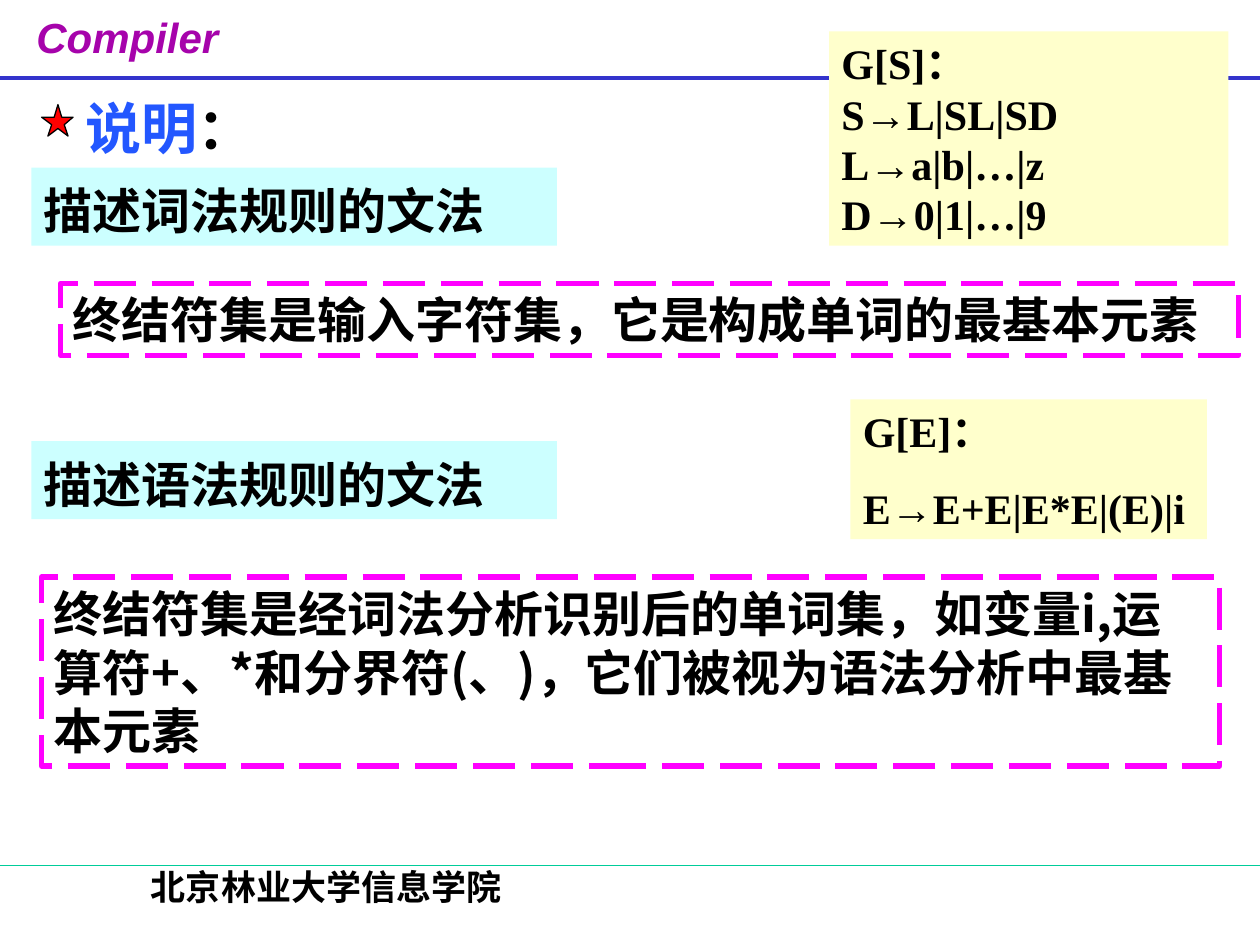
"""Build the compiler slide on terminal sets of lexical and syntax grammars."""
from lxml import etree
from pptx import Presentation
from pptx.dml.color import RGBColor
from pptx.enum.dml import MSO_LINE
from pptx.enum.shapes import MSO_CONNECTOR, MSO_SHAPE
from pptx.enum.text import MSO_ANCHOR, MSO_AUTO_SIZE, PP_ALIGN
from pptx.oxml.ns import qn
from pptx.util import Inches, Pt

COLORS = {
    "black": "000000", "purple": "A603AB", "navy": "3333CC", "green": "00CC99",
    "blue": "2357FF", "red": "FF0000", "magenta": "FF00FF",
    "cyan": "CCFFFF", "cream": "FFFFCC",
}
SERIF, SANS = "Times New Roman", "Noto Sans CJK SC"


def rgb(name):
    return RGBColor.from_string(COLORS[name])


def add_run(p, text, size, font, color="black"):
    r = p.add_run()
    r.text = text
    r.font.size = Pt(size)
    r.font.name = font
    r.font.bold = True
    r.font.color.rgb = rgb(color)
    etree.SubElement(r.font._element, qn("a:ea")).set("typeface", SANS)
    return r


prs = Presentation()
prs.slide_width, prs.slide_height = Inches(10), Inches(7.5)
s = prs.slides.add_slide(prs.slide_layouts[5])

for y, color, width in [(0.62, "navy", 2.25), (6.87, "green", 0.75)]:
    line = s.shapes.add_connector(
        MSO_CONNECTOR.STRAIGHT, Inches(0), Inches(y), Inches(10), Inches(y))
    line.line.color.rgb = rgb(color)
    line.line.width = Pt(width)
    etree.SubElement(line._element.spPr, qn("a:effectLst"))

header = s.shapes.add_textbox(Inches(0.19), Inches(0.04), Inches(1.91), Inches(0.62))
header.text_frame.word_wrap = False
r = add_run(header.text_frame.paragraphs[0], "Compiler", 24, "Arial", "purple")
r.font.italic = True

footer = s.shapes.add_textbox(Inches(0.52), Inches(6.82), Inches(4.14), Inches(0.5))
footer.text_frame.word_wrap = True
p = footer.text_frame.paragraphs[0]
p.alignment = PP_ALIGN.CENTER
add_run(p, "北京林业大学信息学院", 20, SERIF)

title = s.shapes.title
title.left, title.top = Inches(0.58), Inches(0.75)
title.width, title.height = Inches(2.58), Inches(0.58)
tf = title.text_frame
tf.auto_size = MSO_AUTO_SIZE.NONE
tf.vertical_anchor = MSO_ANCHOR.TOP
p = tf.paragraphs[0]
p.alignment = PP_ALIGN.LEFT
p.line_spacing = 0.9
add_run(p, "说明", 32, SERIF, "blue")
add_run(p, "：", 32, SERIF)

star_points = [
    (0.33, 0.93), (0.43, 0.93), (0.46, 0.83), (0.49, 0.93), (0.58, 0.93),
    (0.51, 0.99), (0.54, 1.08), (0.46, 1.02), (0.38, 1.08), (0.41, 0.99),
]
points = [(Inches(x), Inches(y)) for x, y in star_points]
builder = s.shapes.build_freeform(*points[0])
builder.add_line_segments(points[1:], close=True)
star = builder.convert_to_shape()
star.shadow.inherit = False
star.fill.solid()
star.fill.fore_color.rgb = rgb("red")
star.line.color.rgb = rgb("black")
star.line.width = Pt(0.75)

TOP, BOTTOM = MSO_ANCHOR.TOP, MSO_ANCHOR.BOTTOM
boxes = [
    (0.48, 2.25, 9.35, 0.57, None, TOP, 28, SANS, 0,
     ["终结符集是输入字符集，它是构成单词的最基本元素"]),
    (0.33, 4.58, 9.35, 1.5, None, TOP, 28, SANS, 0,
     ["终结符集是经词法分析识别后的单词集，如变量i,运算符+、*和分界符(、)，"
      "它们被视为语法分析中最基本元素"]),
    (0.25, 3.5, 4.17, 0.62, "cyan", BOTTOM, 28, SANS, 0, ["描述语法规则的文法"]),
    (6.75, 3.17, 2.83, 1.11, "cream", TOP, 24, SERIF, 15,
     ["G[E]：", "E→E+E|E*E|(E)|i"]),
    (0.25, 1.33, 4.17, 0.62, "cyan", BOTTOM, 28, SANS, 0, ["描述词法规则的文法"]),
    (6.58, 0.25, 3.17, 1.7, "cream", TOP, 24, SERIF, 0,
     ["G[S]：", "S→L|SL|SD", "L→a|b|…|z", "D→0|1|…|9"]),
]
for x, y, w, h, fill, anchor, size, font, gap, lines in boxes:
    sp = s.shapes.add_shape(
        MSO_SHAPE.RECTANGLE, Inches(x), Inches(y), Inches(w), Inches(h))
    sp.shadow.inherit = False
    if fill:
        sp.fill.solid()
        sp.fill.fore_color.rgb = rgb(fill)
        sp.line.fill.background()
    else:
        sp.fill.background()
        sp.line.color.rgb = rgb("magenta")
        sp.line.width = Pt(3)
        sp.line.dash_style = MSO_LINE.LONG_DASH
    tf = sp.text_frame
    tf.word_wrap = True
    tf.vertical_anchor = anchor
    for i, text in enumerate(lines):
        p = tf.add_paragraph() if i else tf.paragraphs[0]
        p.alignment = PP_ALIGN.LEFT
        if i and gap:
            p.space_before = Pt(gap)
        add_run(p, text, size, font)

prs.save("out.pptx")
